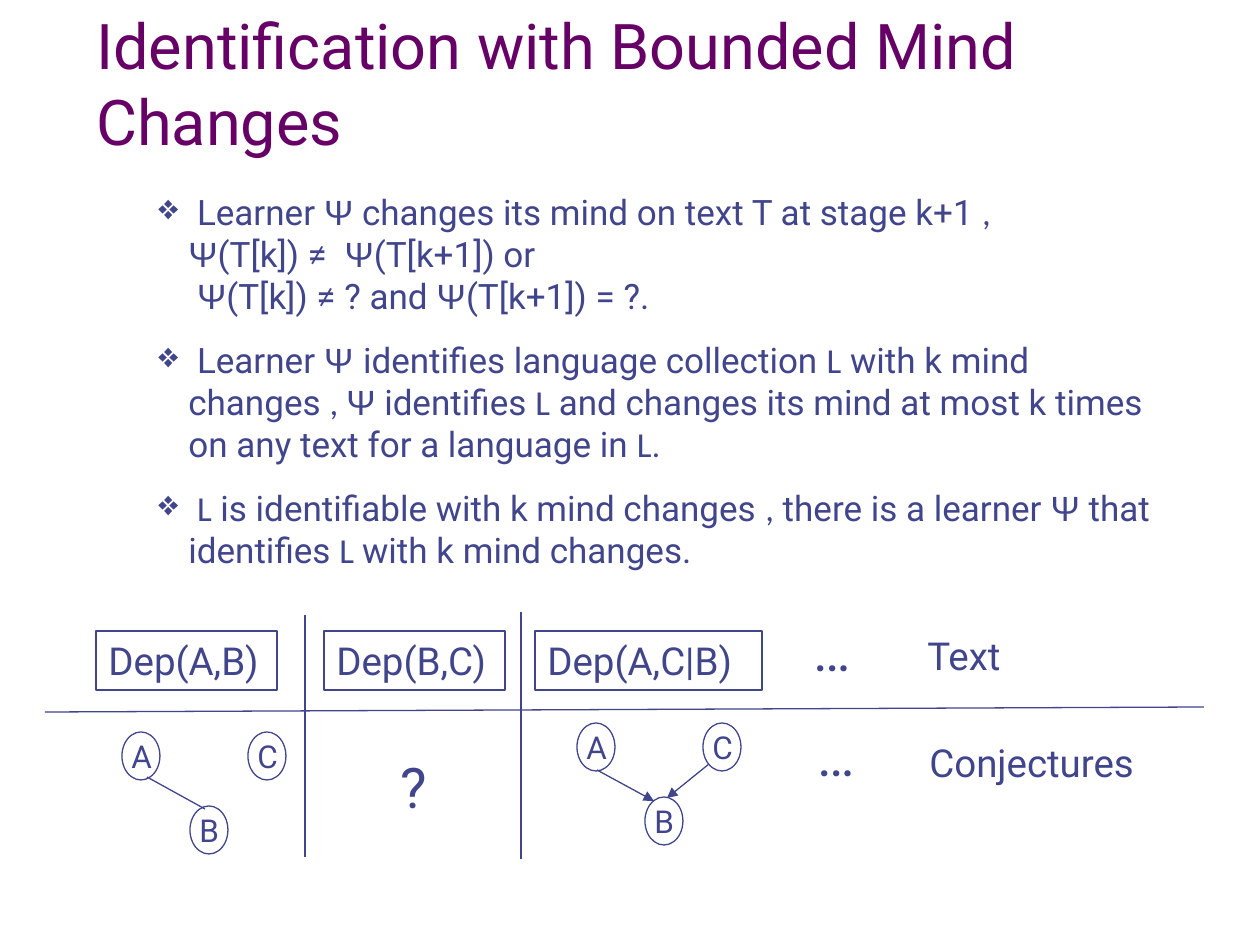
from lxml import etree
from pptx import Presentation
from pptx import util as u
from pptx.dml.color import RGBColor
from pptx.enum import shapes, text
from pptx.oxml.ns import qn

PX = 914400 / 126
PURPLE = RGBColor(0x66, 0x00, 0x66)
INDIGO = RGBColor(0x40, 0x45, 0x8C)
MAIN, GREEK, SCRIPT = "Roboto", "Arial", "Calibri"

DEFINITIONS = [
    [(MAIN, " Learner "), (GREEK, "Ψ"),
     (MAIN, " changes its mind on text T at stage k+1 "), (SCRIPT, ", \n"),
     (GREEK, "Ψ"), (MAIN, "(T[k]) ≠  "), (GREEK, "Ψ"), (MAIN, "(T[k+1]) or\n "),
     (GREEK, "Ψ"), (MAIN, "(T[k]) ≠ ? and "), (GREEK, "Ψ"), (MAIN, "(T[k+1]) = ?.")],
    [(MAIN, " Learner "), (GREEK, "Ψ "), (MAIN, "identifies language collection "),
     (SCRIPT, "L"), (MAIN, " with k mind changes "), (SCRIPT, ", "), (GREEK, "Ψ"),
     (MAIN, " identifies "), (SCRIPT, "L"),
     (MAIN, " and changes its mind at most k times on any text for a language in "),
     (SCRIPT, "L"), (MAIN, ".")],
    [(MAIN, " "), (SCRIPT, "L"), (MAIN, " is identifiable with k mind changes "),
     (SCRIPT, ","), (MAIN, " there is a learner "), (GREEK, "Ψ"),
     (MAIN, " that identifies "), (SCRIPT, "L "), (MAIN, "with k mind changes.")],
]
NODES = {"B": (68, 74), "C": (126, 0), "A": (0, 0)}


def px(*values):
    return [u.Emu(round(v * PX)) for v in values]


class Slide:
    def __init__(self, prs):
        self.s = prs.slides.add_slide(prs.slide_layouts[6])
        self.shapes = self.s.shapes

    def fill_text(self, sp, paragraphs, size, color=INDIGO, wrap=True, bullet=None, **frame):
        tf = sp.text_frame
        frame = {"word_wrap": wrap, "auto_size": text.MSO_AUTO_SIZE.SHAPE_TO_FIT_TEXT,
                 "vertical_anchor": text.MSO_ANCHOR.TOP, **frame}
        for name, value in frame.items():
            setattr(tf, name, value)
        for i, runs in enumerate(paragraphs):
            p = tf.add_paragraph() if i else tf.paragraphs[0]
            p.alignment = text.PP_ALIGN.LEFT
            if color == INDIGO:
                p.space_before = u.Pt(size * 0.625)
            if bullet:
                self.bullet(p, bullet)
            for font, words in runs:
                for j, part in enumerate(words.split("\n")):
                    if j:
                        p.add_line_break()
                    if part:
                        r = p.add_run()
                        r.text = part
                        for name, value in {"name": font, "size": u.Pt(size)}.items():
                            setattr(r.font, name, value)
                        r.font.color.rgb = color

    def bullet(self, p, char):
        pPr = p._p.get_or_add_pPr()
        indent = px(30)[0]
        pPr.set("marL", str(indent))
        pPr.set("indent", str(-indent))
        clr = etree.SubElement(pPr, qn("a:buClr"))
        etree.SubElement(clr, qn("a:srgbClr"), val=str(INDIGO))
        etree.SubElement(pPr, qn("a:buChar"), char=char)

    def paragraphs(self, box, paragraphs, size, **options):
        self.fill_text(self.shapes.add_textbox(*px(*box)), paragraphs, size, **options)

    def label(self, box, words, size, **options):
        self.paragraphs(box, [[(MAIN, words)]], size, **options)

    def outline(self, kind, box):
        sp = self.shapes.add_shape(kind, *px(*box))
        sp.shadow.inherit = False
        sp.fill.background()
        self.stroke(sp)
        return sp

    def stroke(self, sp):
        sp.line.color.rgb = INDIGO
        sp.line.width = u.Pt(0.75)

    def framed(self, box, words):
        sp = self.outline(shapes.MSO_SHAPE.RECTANGLE, box)
        self.fill_text(sp, [[(MAIN, words)]], 22, wrap=False)

    def line(self, ends, arrow=False):
        cxn = self.shapes.add_connector(shapes.MSO_CONNECTOR.STRAIGHT, *px(*ends))
        self.stroke(cxn)
        if arrow:
            etree.SubElement(cxn.line._get_or_add_ln(), qn("a:tailEnd"), type="triangle")
        etree.SubElement(cxn._element.spPr, qn("a:effectLst"))

    def graph(self, x, y, edges, arrow=False):
        self.shapes = self.s.shapes.add_group_shape().shapes
        for name, (dx, dy) in NODES.items():
            left, top = x + dx, y + dy
            self.label((left - 3, top - 1, 39, 50), name, 18)
            self.outline(shapes.MSO_SHAPE.OVAL, (left, top, 38, 48))
        for x1, y1, x2, y2 in edges:
            self.line((x + x1, y + y1, x + x2, y + y2), arrow)
        self.shapes = self.s.shapes


def main():
    prs = Presentation()
    prs.slide_width, prs.slide_height = u.Inches(10), u.Inches(7.5)
    s = Slide(prs)

    s.label((84, 42, 1071, 122), "Identification with Bounded Mind Changes", 36,
            color=PURPLE, auto_size=text.MSO_AUTO_SIZE.NONE,
            vertical_anchor=text.MSO_ANCHOR.BOTTOM)
    s.paragraphs((146, 184, 1023, 393), DEFINITIONS, 20, bullet="❖")

    for left, width, words in [(96, 181, "Dep(A,B)"), (324, 181, "Dep(B,C)"),
                               (535, 227, "Dep(A,C|B)")]:
        s.framed((left, 631, width, 59), words)

    s.graph(122, 732, [(25, 45, 83, 77)])
    s.graph(577, 723, [(20, 47, 77, 78), (132, 41, 90, 75)], arrow=True)

    s.label((388, 746, 52, 81), "?", 32)
    for left, top in [(801, 609), (805, 714)]:
        s.label((left, top, 71, 81), "…", 32)
    s.label((915, 626, 102, 59), "Text", 22, wrap=False)
    s.label((917, 733, 239, 59), "Conjectures", 22, wrap=False)

    for ends in [(45, 712, 1204, 707), (305, 615, 305, 857), (521, 612, 521, 859)]:
        s.line(ends)
    prs.save("out.pptx")


if __name__ == "__main__":
    main()
